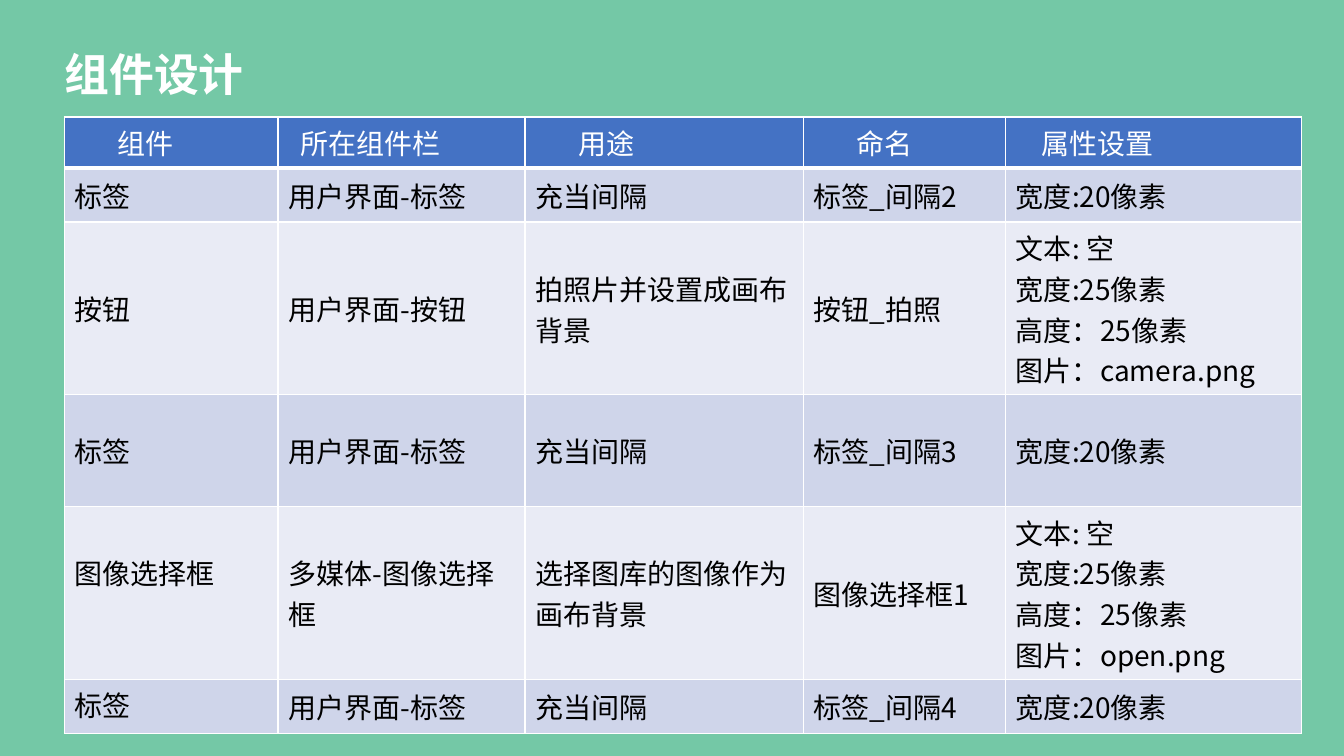
from pptx import Presentation
from pptx.dml.color import RGBColor
from pptx.enum.text import MSO_ANCHOR as Anchor, MSO_AUTO_SIZE as AutoSize
from pptx.oxml.ns import qn
from pptx.util import Pt
from lxml.etree import SubElement

FONT = "Noto Sans CJK SC"
WHITE, BLACK = "FFFFFF", "000000"
HEADER_FILL = "4472C4"
BAND_FILLS = ["CFD5EA", "E9EBF5"]
COLUMN_WIDTHS = [152.64, 176.4, 198.72, 144.72, 210.96]
ROW_HEIGHTS = [28.8, 38.88, 95.76, 79.92, 95.76, 38.88]
HEADERS = [("组件", 31), ("所在组件栏", 9), ("用途", 31), ("命名", 31), ("属性设置", 18)]


def spacer(number):
    """Return the row of a label that serves as a gap."""
    return ["标签", "用户界面-标签", "充当间隔", f"标签_间隔{number}", "宽度:20像素"]


def icon_settings(icon):
    """Return the property lines of a component that shows an icon."""
    return f"文本: 空\n宽度:25像素\n高度：25像素\n图片：{icon}"


COMPONENTS = [
    spacer(2),
    ["按钮", "用户界面-按钮", "拍照片并设置成画布背景", "按钮_拍照", icon_settings("camera.png")],
    spacer(3),
    ["图像选择框", "多媒体-图像选择框", "选择图库的图像作为画布背景", "图像选择框1",
     icon_settings("open.png")],
    spacer(4),
]


def rgb(value):
    """Turn a hex string into a colour."""
    return RGBColor.from_string(value)


def add_run(paragraph, text, size, color, bold=False):
    """Add one formatted run to a paragraph."""
    run = paragraph.add_run()
    run.text = text
    run.font.name = FONT
    run.font.size = Pt(size)
    run.font.bold = bold
    run.font.color.rgb = rgb(color)
    SubElement(run.font._element, qn("a:ea"), typeface=FONT)


def add_borders(cell, bottom=1):
    """Draw white lines around a cell."""
    properties = cell._tc.get_or_add_tcPr()
    for side, width in (("L", 1), ("R", 1), ("T", 1), ("B", bottom)):
        line = SubElement(properties, qn(f"a:ln{side}"), w=str(Pt(width)))
        fill = SubElement(line, qn("a:solidFill"))
        SubElement(fill, qn("a:srgbClr"), val=WHITE)


def fill_cell(cell, text, fill, color, anchor, indent=0, bottom=1):
    """Write the lines of a cell and set its look."""
    add_borders(cell, bottom)
    cell.fill.solid()
    cell.fill.fore_color.rgb = rgb(fill)
    cell.vertical_anchor = anchor
    for index, line in enumerate(text.split("\n")):
        frame = cell.text_frame
        paragraph = frame.add_paragraph() if index else frame.paragraphs[0]
        if indent:
            paragraph._p.get_or_add_pPr().set("marL", str(Pt(indent)))
        add_run(paragraph, line, 20, color)


def add_heading(slide, text):
    """Place the slide title."""
    heading = slide.shapes.title
    heading.left, heading.top = Pt(38.9), Pt(33.8)
    heading.width, heading.height = Pt(441.4), Pt(49.7)
    frame = heading.text_frame
    frame.auto_size = AutoSize.NONE
    frame.word_wrap = True
    frame.vertical_anchor = Anchor.TOP
    paragraph = frame.paragraphs[0]
    paragraph.alignment = 1
    paragraph.line_spacing = 0.9
    add_run(paragraph, text, 32, WHITE, bold=True)


def add_component_table(slide):
    """Build the table of components."""
    frame = slide.shapes.add_table(
        len(ROW_HEIGHTS), len(COLUMN_WIDTHS), Pt(46), Pt(83.5),
        Pt(sum(COLUMN_WIDTHS)), Pt(sum(ROW_HEIGHTS)))
    table = frame.table
    for column, width in zip(table.columns, COLUMN_WIDTHS):
        column.width = Pt(width)
    for row, height in zip(table.rows, ROW_HEIGHTS):
        row.height = Pt(height)
    for column, (label, indent) in enumerate(HEADERS):
        fill_cell(table.cell(0, column), label, HEADER_FILL, WHITE, Anchor.TOP, indent, 3)
    for row, component in enumerate(COMPONENTS, 1):
        for column, text in enumerate(component):
            top = column == 0 and row > 3
            fill_cell(table.cell(row, column), text, BAND_FILLS[(row - 1) % 2], BLACK,
                      Anchor.TOP if top else Anchor.MIDDLE)
    table.cell(4, 0).margin_top = Pt(32.6)


def main():
    """Build and save the slide."""
    deck = Presentation()
    deck.slide_width, deck.slide_height = Pt(960), Pt(540)
    slide = deck.slides.add_slide(deck.slide_layouts[5])
    slide.background.fill.solid()
    slide.background.fill.fore_color.rgb = rgb("74C8A6")
    add_heading(slide, "组件设计")
    add_component_table(slide)
    deck.save("out.pptx")


if __name__ == "__main__":
    main()
